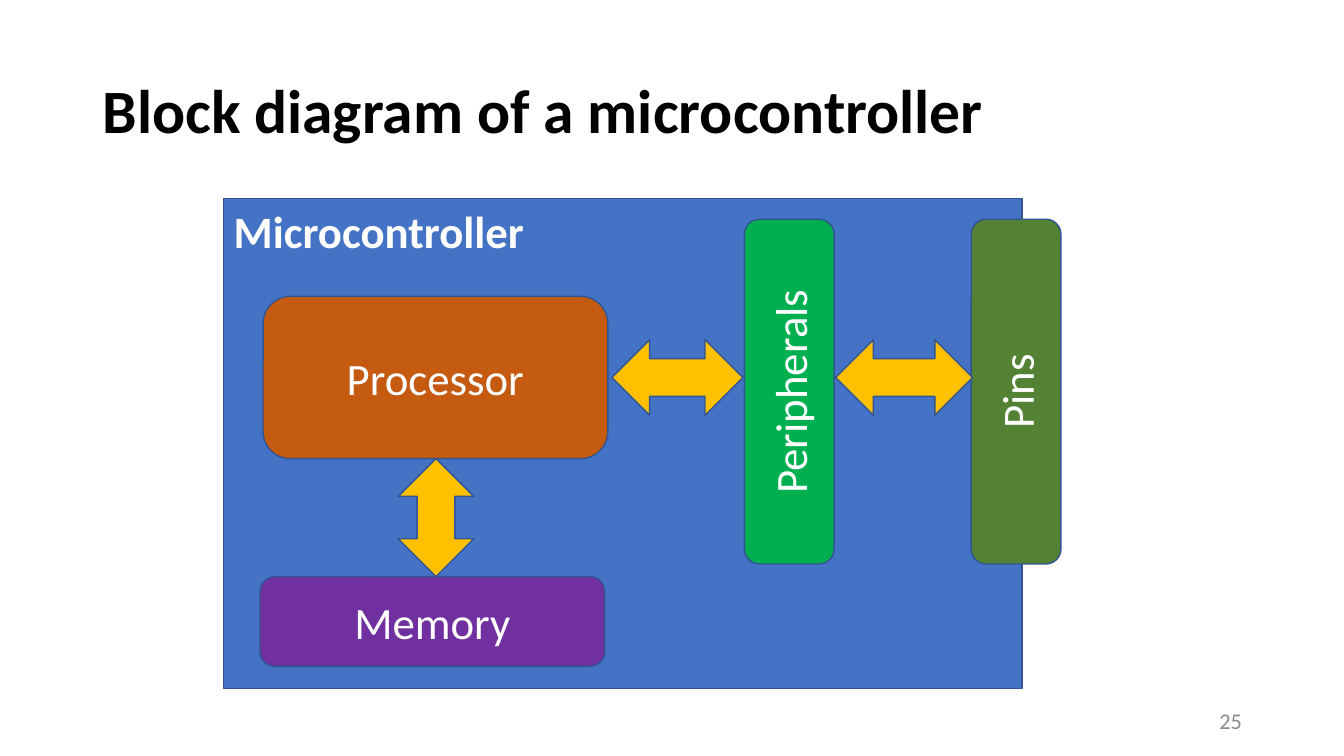
"""Build the slide showing the block diagram of a microcontroller."""
from dataclasses import dataclass

import pptx
import pptx.dml.color
import pptx.enum.shapes
import pptx.enum.text
import pptx.shapes.autoshape
import pptx.slide
import pptx.util

Pt = pptx.util.Pt
Align = pptx.enum.text.PP_ALIGN
Anchor = pptx.enum.text.MSO_ANCHOR
Kind = pptx.enum.shapes.MSO_SHAPE


@dataclass(frozen=True)
class Theme:
    font: str = "Calibri"
    title_size: float = 44
    label_size: float = 32
    number_size: float = 16
    ink: str = "000000"
    label: str = "FFFFFF"
    number: str = "8C8C8C"
    outline: str = "325491"
    chip: str = "4472C4"
    processor: str = "C55A11"
    memory: str = "7030A0"
    peripherals: str = "00B050"
    pins: str = "548235"
    bus: str = "FFC000"


@dataclass(frozen=True)
class Box:
    left: float
    top: float
    width: float
    height: float

    def lengths(self) -> tuple:
        return tuple(Pt(n) for n in (self.left, self.top, self.width, self.height))


@dataclass(frozen=True)
class Block:
    label: str
    box: Box
    fill: str
    rotation: float = 0


@dataclass(frozen=True)
class Bus:
    box: Box
    rotation: float = 0


THEME = Theme()
BLOCK_LENGTH, BLOCK_DEPTH, BUS_DEPTH = 246.24, 64.08, 54
UPRIGHT_TOP, BUS_TOP = 247.68, 242.64

CHIP = Box(159.84, 141.84, 570.24, 349.92)
BLOCKS = (
    Block("Processor", Box(187.92, 211.68, BLOCK_LENGTH, 115.92), THEME.processor),
    Block("Memory", Box(185.76, 411.84, BLOCK_LENGTH, BLOCK_DEPTH), THEME.memory),
    Block("Peripherals", Box(440.64, UPRIGHT_TOP, BLOCK_LENGTH, BLOCK_DEPTH),
          THEME.peripherals, 270),
    Block("Pins", Box(602.64, UPRIGHT_TOP, BLOCK_LENGTH, BLOCK_DEPTH), THEME.pins, 270),
)
BUSES = (
    Bus(Box(437.04, BUS_TOP, 93.6, BUS_DEPTH)),
    Bus(Box(596.88, BUS_TOP, 97.92, BUS_DEPTH)),
    Bus(Box(269.28, 342.72, 84.24, BUS_DEPTH), 90),
)


def write(shape: pptx.shapes.autoshape.Shape, text: str, *, size: float, color: str,
          bold: bool = False, align: Align = Align.LEFT,
          anchor: Anchor = Anchor.MIDDLE, line_spacing: float = 1.0) -> None:
    frame = shape.text_frame
    frame.word_wrap = True
    frame.vertical_anchor = anchor
    paragraph = frame.paragraphs[0]
    paragraph.alignment = align
    paragraph.line_spacing = line_spacing
    run = paragraph.add_run()
    run.text = text
    run.font.name = THEME.font
    run.font.size = Pt(size)
    run.font.bold = bold
    run.font.color.rgb = pptx.dml.color.RGBColor.from_string(color)


def draw_shape(slide: pptx.slide.Slide, kind: Kind, box: Box, fill: str,
               rotation: float = 0) -> pptx.shapes.autoshape.Shape:
    shape = slide.shapes.add_shape(kind, *box.lengths())
    shape.rotation = rotation
    shape.shadow.inherit = False
    shape.fill.solid()
    shape.fill.fore_color.rgb = pptx.dml.color.RGBColor.from_string(fill)
    shape.line.color.rgb = pptx.dml.color.RGBColor.from_string(THEME.outline)
    shape.line.width = Pt(1)
    return shape


def draw_block(slide: pptx.slide.Slide, block: Block) -> None:
    shape = draw_shape(slide, Kind.ROUNDED_RECTANGLE, block.box, block.fill, block.rotation)
    write(shape, block.label, size=THEME.label_size, color=THEME.label, align=Align.CENTER)


def draw_bus(slide: pptx.slide.Slide, bus: Bus) -> None:
    draw_shape(slide, Kind.LEFT_RIGHT_ARROW, bus.box, THEME.bus, bus.rotation)


def main() -> None:
    deck = pptx.Presentation()
    deck.slide_width, deck.slide_height = Pt(960), Pt(540)
    slide = deck.slides.add_slide(deck.slide_layouts[6])

    page_number = slide.shapes.add_textbox(*Box(678.24, 500.4, 216, 28.8).lengths())
    write(page_number, "25", size=THEME.number_size, color=THEME.number, align=Align.RIGHT)
    title = slide.shapes.add_textbox(*Box(66.24, 28.8, 828, 104.4).lengths())
    write(title, "Block diagram of a microcontroller", size=THEME.title_size,
          color=THEME.ink, bold=True, line_spacing=0.9)

    chip = draw_shape(slide, Kind.RECTANGLE, CHIP, THEME.chip)
    write(chip, "Microcontroller", size=THEME.label_size, color=THEME.label,
          bold=True, anchor=Anchor.TOP)
    for block in BLOCKS:
        draw_block(slide, block)
    for bus in BUSES:
        draw_bus(slide, bus)

    deck.save("out.pptx")


if __name__ == "__main__":
    main()
